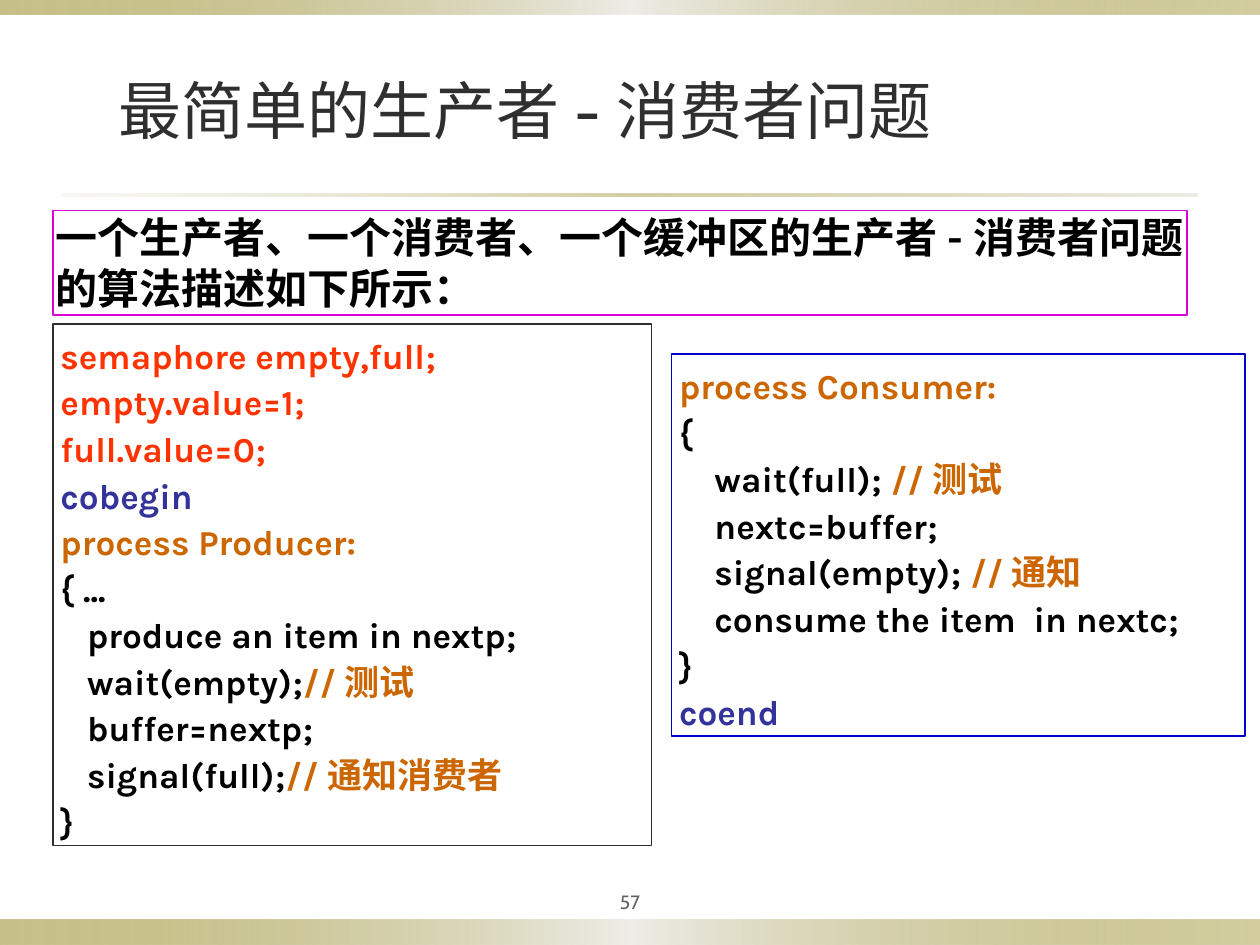
import pptx
import pptx.util
import pptx.dml.color
import pptx.enum.shapes
import pptx.enum.text
import pptx.oxml
import pptx.oxml.ns
from pptx.util import Cm

COLORS = {
    "title": "2F2F2F", "number": "636363", "black": "000000",
    "red": "FF3300", "blue": "333399", "orange": "CC6600",
    "magenta": "DD00DD", "navy": "0000CC", "olive": "918415",
    "pearl": "EEEDE8", "sand": "DCD9CC",
}
BAND = [(0, "olive", 50), (50, "pearl", 100), (100, "olive", 40)]
RULE = [(0, "sand", 20), (50, "olive", 40), (100, "sand", 50)]

# Each line of code is a list of (text, colour) runs
PRODUCER = [
    [("semaphore empty,full;", "red")],
    [("empty.value=1;", "red")],
    [("full.value=0;", "red")],
    [("cobegin", "blue")],
    [("process Producer:", "orange")],
    [("{ ...", "black")],
    [("   produce an item in nextp;", "black")],
    [("   wait(empty);", "black"), ("//测试", "orange")],
    [("   buffer=nextp;", "black")],
    [("   signal(full);", "black"), ("//通知消费者", "orange")],
    [("}", "black")],
]
CONSUMER = [
    [("process Consumer:", "orange")],
    [("{", "black")],
    [("    wait(full); ", "black"), ("//测试", "orange")],
    [("    nextc=buffer;", "black")],
    [("    signal(empty); ", "black"), ("//通知", "orange")],
    [("    consume the item  in nextc;", "black")],
    [("}", "black")],
    [("coend", "blue")],
]


def rgb(name):
    return pptx.dml.color.RGBColor.from_string(COLORS[name])


def add_text(p, text, font="Karla", size=20, color="black", bold=False):
    r = p.add_run()
    r.text = text
    r.font.name = font
    r.font.size = pptx.util.Pt(size)
    r.font.bold = bold
    r.font.color.rgb = rgb(color)
    # East Asian characters use the same font
    ea = pptx.oxml.parse_xml(
        f'<a:ea {pptx.oxml.ns.nsdecls("a")} typeface="{font}"/>')
    r.font._element.find(pptx.oxml.ns.qn("a:latin")).addnext(ea)


def set_frame(tf, insets, anchor="TOP"):
    tf.word_wrap = True
    tf.auto_size = pptx.enum.text.MSO_AUTO_SIZE.NONE
    tf.vertical_anchor = pptx.enum.text.MSO_ANCHOR[anchor]
    tf.margin_left = tf.margin_right = Cm(insets[0])
    tf.margin_top, tf.margin_bottom = Cm(insets[1]), Cm(insets[2])


def add_rect(s, box):
    sp = s.shapes.add_shape(pptx.enum.shapes.MSO_SHAPE.RECTANGLE,
                            *[Cm(v) for v in box])
    sp.shadow.inherit = False
    return sp


def add_gradient_bar(s, box, stops):
    sp = add_rect(s, box)
    sp.line.fill.background()
    sp.fill.gradient()
    sp.fill.gradient_angle = 0
    gs_list = sp._element.spPr.find(".//" + pptx.oxml.ns.qn("a:gsLst"))
    for gs in list(gs_list):
        gs_list.remove(gs)
    for pos, color, alpha in stops:
        gs_list.append(pptx.oxml.parse_xml(
            f'<a:gs {pptx.oxml.ns.nsdecls("a")} pos="{pos * 1000}">'
            f'<a:srgbClr val="{COLORS[color]}">'
            f'<a:alpha val="{alpha * 1000}"/></a:srgbClr></a:gs>'))


def add_background(s, box):
    x, y, w, h = box
    add_gradient_bar(s, (x, y + h - 0.51, w, 0.51), BAND)
    add_gradient_bar(s, (x, y, w, 0.3), BAND)
    add_gradient_bar(s, (x + 1.27, y + 3.91, w - 2.54, 0.05), RULE)


def add_title(s, box):
    sp = s.shapes.title
    sp.left, sp.top, sp.width, sp.height = [Cm(v) for v in box]
    set_frame(sp.text_frame, (0.25, 0.13, 0.13), "MIDDLE")
    p = sp.text_frame.paragraphs[0]
    p.alignment = pptx.enum.text.PP_ALIGN.CENTER
    for text, font in [("最简单的", "Cabin"), ("生产者", "Noto Sans CJK SC"),
                       ("-", "Cabin"), ("消费者问题", "Noto Sans CJK SC")]:
        add_text(p, text, font=font, size=36, color="title")


def add_number(s, box):
    tf = s.shapes.add_textbox(*[Cm(v) for v in box]).text_frame
    set_frame(tf, (0.13, 0.13, 0.13), "MIDDLE")
    p = tf.paragraphs[0]
    p.alignment = pptx.enum.text.PP_ALIGN.CENTER
    add_text(p, "57", font="Cabin", size=11, color="number")


def add_panel(s, box, lines, border, size, insets):
    sp = add_rect(s, box)
    sp.fill.background()
    sp.line.color.rgb = rgb(border)
    sp.line.width = pptx.util.Pt(0.75)
    tf = sp.text_frame
    set_frame(tf, insets)
    for i, runs in enumerate(lines):
        p = tf.add_paragraph() if i else tf.paragraphs[0]
        p.alignment = pptx.enum.text.PP_ALIGN.LEFT
        if i:
            p.space_before = pptx.util.Pt(size * 0.13)
        for text, color in runs:
            add_text(p, text, size=size, color=color, bold=True)


def main():
    prs = pptx.Presentation()
    prs.slide_width, prs.slide_height = Cm(25.4), Cm(19.05)
    s = prs.slides.add_slide(prs.slide_layouts[5])

    add_background(s, (0, 0, 25.4, 19.05))
    add_title(s, (0.64, 1.24, 19.89, 1.93))
    add_number(s, (11.43, 17.78, 2.54, 0.79))

    # Statement above the two processes
    statement = "一个生产者、一个消费者、一个缓冲区的生产者-消费者问题的算法描述如下所示："
    add_panel(s, (1.07, 4.24, 22.86, 2.11), [[(statement, "black")]],
              "magenta", 24, (0.05, 0.03, 0.03))

    # Producer and consumer code
    code_insets = (0.15, 0.21, 0.13)
    add_panel(s, (1.07, 6.53, 12.07, 10.52), PRODUCER, "title", 20, code_insets)
    add_panel(s, (13.54, 7.14, 11.56, 7.7), CONSUMER, "navy", 20, code_insets)

    prs.save("out.pptx")


if __name__ == "__main__":
    main()
